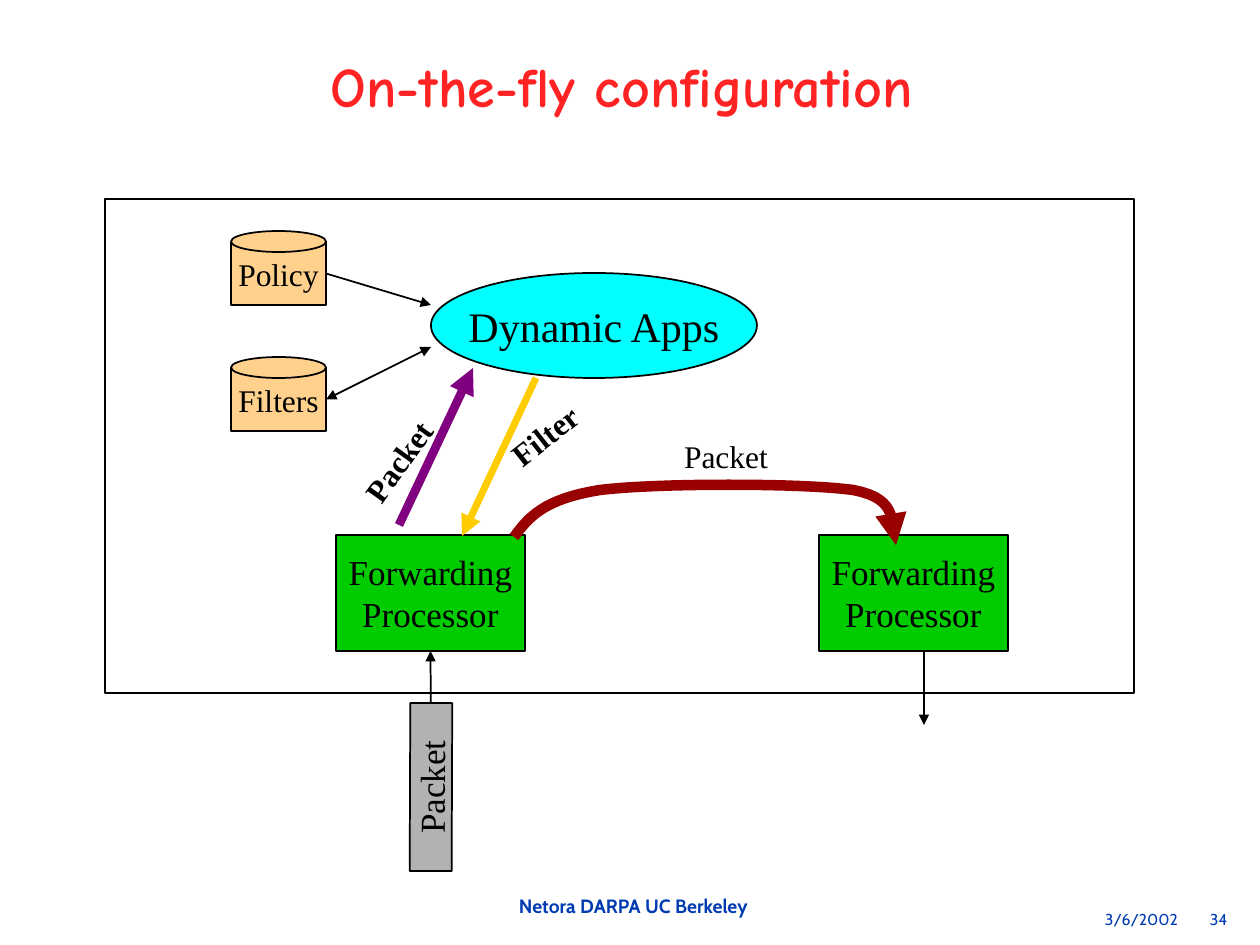
from dataclasses import dataclass
from typing import Any, Optional

import lxml.etree
import pptx
import pptx.dml.color
import pptx.enum.shapes
import pptx.enum.text
import pptx.oxml.ns
import pptx.util

EMU_PER_PX = 914400 / 126
SERIF = "Times New Roman"
COLORS = {
    "black": "000000", "title": "FF2323", "footer": "003BB2",
    "processor": "00CC00", "apps": "00FFFF", "store": "FFD18D",
    "packet": "B2B2B2", "upward": "800080", "downward": "FFCC00",
    "bypass": "990000",
}
KINDS = pptx.enum.shapes.MSO_SHAPE
ALIGN = pptx.enum.text.PP_ALIGN
ANCHOR = pptx.enum.text.MSO_ANCHOR


@dataclass
class Label:
    text: str
    size: int
    font: str = SERIF
    color: str = "black"
    bold: bool = False
    align: Any = ALIGN.CENTER
    anchor: Any = ANCHOR.MIDDLE
    insets: tuple[int, int] = (13, 6)
    wrap: bool = False
    spacing: Optional[float] = None
    tabs: tuple[int, ...] = ()


@dataclass
class Node:
    kind: Any
    box: tuple[int, int, int, int]
    fill: Optional[str] = None
    label: Optional[Label] = None
    line_width: float = 1
    rotation: float = 0


@dataclass
class Arrow:
    start: tuple[int, int]
    end: tuple[int, int]
    color: str = "black"
    width: float = 1
    ends: tuple[str, ...] = ("tailEnd",)
    source: Any = None
    site: int = 3


def px(value: float) -> int:
    return pptx.util.Emu(round(value * EMU_PER_PX))


def rgb(name: str) -> Any:
    return pptx.dml.color.RGBColor.from_string(COLORS[name])


def apply_formats(target: Any, formats: dict[str, Any]) -> None:
    for attribute, value in formats.items():
        setattr(target, attribute, value)


def write_label(frame: Any, label: Label) -> None:
    side, top = map(px, label.insets)
    apply_formats(frame, {
        "margin_left": side, "margin_right": side, "margin_top": top,
        "margin_bottom": top, "word_wrap": label.wrap,
        "vertical_anchor": label.anchor, "text": label.text,
    })
    for paragraph in frame.paragraphs:
        paragraph.alignment = label.align
        if label.spacing:
            paragraph.line_spacing = label.spacing
        if label.tabs:
            properties = paragraph._p.get_or_add_pPr()
            tab_list = lxml.etree.SubElement(properties, pptx.oxml.ns.qn("a:tabLst"))
            for stop in label.tabs:
                lxml.etree.SubElement(tab_list, pptx.oxml.ns.qn("a:tab"),
                                      pos=str(px(stop)), algn="l")
        for run in paragraph.runs:
            apply_formats(run.font, {"name": label.font, "bold": label.bold,
                                     "size": pptx.util.Pt(label.size)})
            run.font.color.rgb = rgb(label.color)


def style_line(line: Any, color: str, width: float, ends: tuple[str, ...] = ()) -> None:
    line.color.rgb = rgb(color)
    line.width = pptx.util.Pt(width)
    for end in ends:  # headEnd comes before tailEnd
        lxml.etree.SubElement(line._get_or_add_ln(),
                              pptx.oxml.ns.qn(f"a:{end}"), type="triangle")


def draw_node(shapes: Any, node: Node) -> Any:
    shape = shapes.add_shape(node.kind, *map(px, node.box))
    shape.shadow.inherit = False
    shape.rotation = node.rotation
    if node.fill:
        shape.fill.solid()
        shape.fill.fore_color.rgb = rgb(node.fill)
    else:
        shape.fill.background()
    style_line(shape.line, "black", node.line_width)
    if node.label:
        write_label(shape.text_frame, node.label)
    return shape


def draw_store(shapes: Any, name: str, left: int, top: int) -> Any:
    group = shapes.add_group_shape().shapes
    body = draw_node(group, Node(KINDS.RECTANGLE, (left, top + 11, 95, 63),
                                 "store", Label(name, 18)))
    draw_node(group, Node(KINDS.OVAL, (left, top, 95, 21), "store"))
    return body


def draw_arrow(shapes: Any, arrow: Arrow) -> None:
    straight = pptx.enum.shapes.MSO_CONNECTOR.STRAIGHT
    connector = shapes.add_connector(straight, *map(px, arrow.start + arrow.end))
    if arrow.source is not None:
        connector.begin_connect(arrow.source, arrow.site)
    style_line(connector.line, arrow.color, arrow.width, arrow.ends)
    lxml.etree.SubElement(connector._element.spPr, pptx.oxml.ns.qn("a:effectLst"))


def draw_text(shapes: Any, box: tuple[int, int, int, int], label: Label,
              rotation: float = 0) -> None:
    textbox = shapes.add_textbox(*map(px, box))
    textbox.rotation = rotation
    write_label(textbox.text_frame, label)


def draw_curve(shapes: Any, start: tuple[int, int],
               segments: list[tuple[tuple[int, int], ...]],
               color: str, width: float, steps: int = 16) -> None:
    points, origin = [], start
    for first, second, end in segments:
        for t in (step / steps for step in range(1, steps + 1)):
            points.append(tuple(
                (1 - t) ** 3 * a + 3 * (1 - t) ** 2 * t * b
                + 3 * (1 - t) * t ** 2 * c + t ** 3 * d
                for a, b, c, d in zip(origin, first, second, end)))
        origin = end
    builder = shapes.build_freeform(px(start[0]), px(start[1]))
    builder.add_line_segments([(px(x), px(y)) for x, y in points], close=False)
    curve = builder.convert_to_shape()
    curve.shadow.inherit = False
    curve.fill.background()
    style_line(curve.line, color, width, ("tailEnd",))


def main() -> None:
    deck = pptx.Presentation()
    deck.slide_width, deck.slide_height = px(1260), px(945)
    shapes = deck.slides.add_slide(deck.slide_layouts[6]).shapes

    # Footer
    draw_text(shapes, (848, 910, 391, 21), Label(
        "\t3/6/2002\t34", 9, "Cabin", "footer", align=ALIGN.LEFT,
        anchor=ANCHOR.TOP, insets=(11, 0), wrap=True, tabs=(246, 351)))
    draw_text(shapes, (490, 888, 287, 34), Label(
        "Netora DARPA UC Berkeley", 11, "Cabin", "footer", True,
        anchor=ANCHOR.TOP, insets=(11, 6)))

    # Forwarding processors and their outside links
    inbound, _ = [
        draw_node(shapes, Node(KINDS.RECTANGLE, (left, 535, 189, 116), "processor",
                               Label("Forwarding\nProcessor", 20), 0.75))
        for left in (336, 819)
    ]
    draw_arrow(shapes, Arrow((431, 651), (431, 725), ends=("headEnd",),
                             source=inbound, site=2))
    draw_arrow(shapes, Arrow((924, 651), (924, 725)))
    draw_node(shapes, Node(KINDS.RECTANGLE, (105, 199, 1029, 494), line_width=0.75))

    # Packet flow
    draw_arrow(shapes, Arrow((399, 525), (473, 368), "upward", 5))
    draw_curve(shapes, (514, 537), [
        ((528, 518), (543, 499), (600, 490)),
        ((655, 483), (804, 483), (853, 490)),
        ((903, 499), (888, 528), (896, 537)),
        ((903, 545), (900, 545), (896, 545)),
    ], "bypass", 6)
    draw_node(shapes, Node(KINDS.RECTANGLE, (347, 766, 168, 42), "packet",
                           Label("Packet", 20), rotation=270.2))

    # Stores feeding the dynamic apps
    policy = draw_store(shapes, "Policy", 231, 231)
    draw_arrow(shapes, Arrow((326, 273), (431, 305), source=policy))
    filters = draw_store(shapes, "Filters", 231, 357)
    draw_arrow(shapes, Arrow((326, 399), (431, 347), ends=("headEnd", "tailEnd"),
                             source=filters))
    draw_arrow(shapes, Arrow((536, 378), (462, 536), "downward", 4))
    draw_node(shapes, Node(KINDS.OVAL, (431, 273, 326, 105), "apps",
                           Label("Dynamic Apps", 24)))

    # Flow labels, with narrow side insets so each word stays on one line
    for text, box, bold, rotation in (
        ("Packet", (672, 431, 108, 50), False, 0),
        ("Packet", (335, 436, 126, 50), True, 305.6),
        ("Filter", (494, 410, 101, 50), True, 321.8),
    ):
        draw_text(shapes, box, Label(text, 18, bold=bold, insets=(4, 6), wrap=True),
                  rotation)

    # Title
    draw_text(shapes, (60, 59, 1124, 60), Label(
        "On-the-fly configuration", 32, "Comic Neue", "title", True,
        anchor=ANCHOR.TOP, insets=(6, 0), wrap=True, spacing=0.9))

    deck.save("out.pptx")


if __name__ == "__main__":
    main()
